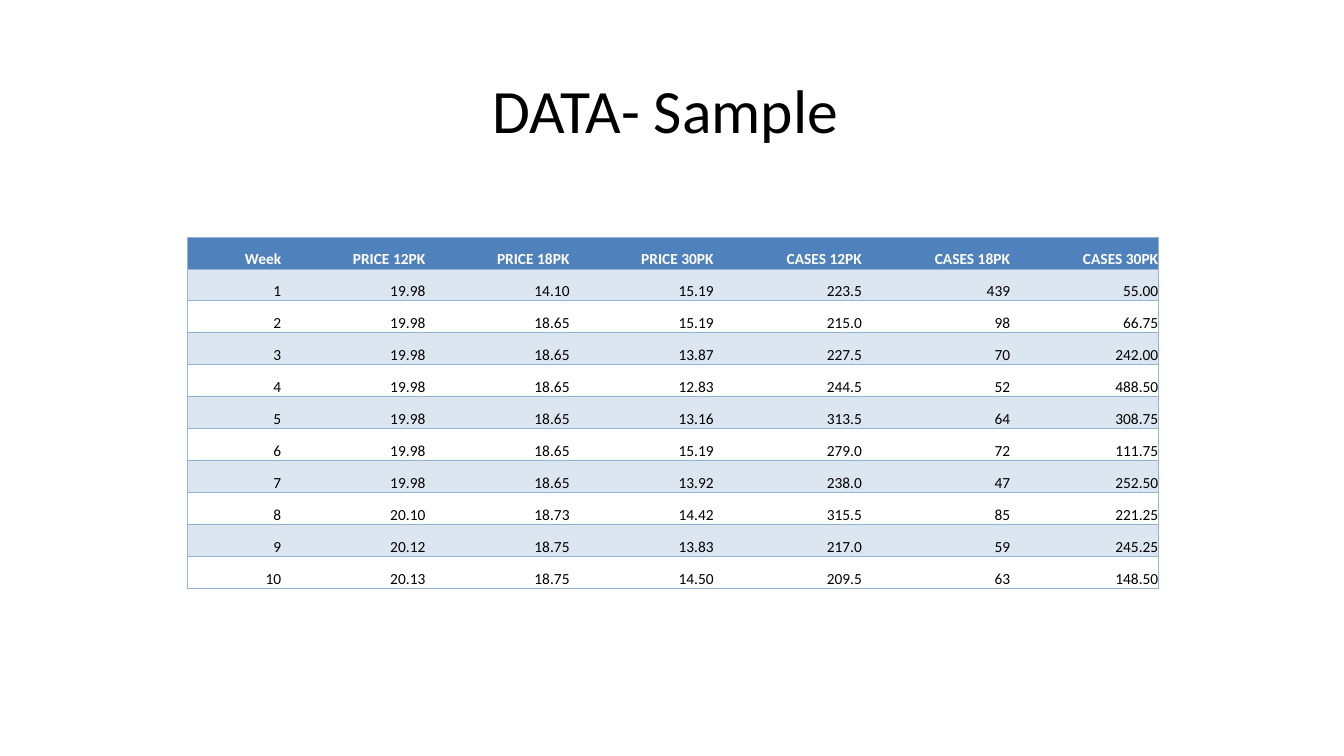
"""Build a slide with a sample of weekly prices and cases."""

import dataclasses

import lxml.etree
import pptx
import pptx.dml.color
import pptx.enum.text
import pptx.oxml.ns
import pptx.presentation
import pptx.slide
import pptx.table
import pptx.text.text
import pptx.util

UNIT = pptx.util.Inches(0.01)
ALIGN = pptx.enum.text.PP_ALIGN
ANCHOR = pptx.enum.text.MSO_ANCHOR
HEX = {"head": "4F81BD", "band": "DCE6F1", "line": "95B3D7", "ink": "000000", "pale": "FFFFFF"}


@dataclasses.dataclass(frozen=True)
class Box:
    left: int
    top: int
    width: int
    height: int

    def scale(self) -> dict[str, int]:
        return {key: val * UNIT for key, val in dataclasses.asdict(self).items()}


@dataclasses.dataclass(frozen=True)
class Column:
    head: str
    span: int
    data: str

    def texts(self) -> list[str]:
        return [self.head, *self.data.split()]


PAGE = Box(0, 0, 1333, 750)
TITLE = Box(92, 40, 1150, 145)
GRID = Box(186, 235, 962, 349)
COLUMNS = [
    Column("Week", 93, "1 2 3 4 5 6 7 8 9 10"),
    Column("PRICE 12PK", 143, "19.98 19.98 19.98 19.98 19.98 19.98 19.98 20.10 20.12 20.13"),
    Column("PRICE 18PK", 143, "14.10 18.65 18.65 18.65 18.65 18.65 18.65 18.73 18.75 18.75"),
    Column("PRICE 30PK", 143, "15.19 15.19 13.87 12.83 13.16 15.19 13.92 14.42 13.83 14.50"),
    Column("CASES 12PK", 147, "223.5 215.0 227.5 244.5 313.5 279.0 238.0 315.5 217.0 209.5"),
    Column("CASES 18PK", 147, "439 98 70 52 64 72 47 85 59 63"),
    Column("CASES 30PK", 147, "55.00 66.75 242.00 488.50 308.75 111.75 252.50 221.25 245.25 148.50"),
]
FLAT = {"first_row": False, "horz_banding": False}
CELL = {
    "margin_left": 0,
    "margin_right": 0,
    "margin_top": 0,
    "margin_bottom": 0,
    "vertical_anchor": ANCHOR.BOTTOM,
}


def apply(item: object, form: dict[str, object]) -> None:
    for key, val in form.items():
        setattr(item, key, val)


def style(para: pptx.text.text._Paragraph, size: int, color: str, bold: bool = False) -> None:
    apply(para.font, {"name": "Calibri", "size": pptx.util.Pt(size), "bold": bold})
    para.font.color.rgb = pptx.dml.color.RGBColor.from_string(HEX[color])


def border(cell: pptx.table._Cell, sides: str) -> None:
    name = pptx.oxml.ns.qn
    props = cell._tc.get_or_add_tcPr()
    for side in "LRTB":
        line = lxml.etree.SubElement(props, name(f"a:ln{side}"), w=str(pptx.util.Pt(0.5)))
        if side in sides:
            fill = lxml.etree.SubElement(line, name("a:solidFill"))
            lxml.etree.SubElement(fill, name("a:srgbClr"), val=HEX["line"])
        else:
            lxml.etree.SubElement(line, name("a:noFill"))


def paint(cell: pptx.table._Cell, row: int) -> None:
    if row and row % 2 == 0:
        cell.fill.background()
        return
    cell.fill.solid()
    color = "band" if row else "head"
    cell.fill.fore_color.rgb = pptx.dml.color.RGBColor.from_string(HEX[color])


def draw_title(slide: pptx.slide.Slide, text: str) -> None:
    title = slide.shapes.title
    apply(title, TITLE.scale())
    frame = title.text_frame
    frame.text = text
    apply(frame, {
        "vertical_anchor": ANCHOR.MIDDLE,
        "word_wrap": True,
        "auto_size": pptx.enum.text.MSO_AUTO_SIZE.NONE,
    })
    para = frame.paragraphs[0]
    apply(para, {"alignment": ALIGN.CENTER, "line_spacing": 0.9})
    style(para, 44, "ink")


def draw_table(slide: pptx.slide.Slide, columns: list[Column]) -> None:
    rows = len(columns[0].texts())
    table = slide.shapes.add_table(rows, len(columns), **GRID.scale()).table
    apply(table, FLAT)
    last = len(columns) - 1
    for col, column in enumerate(columns):
        table.columns[col].width = column.span * UNIT
        sides = "TB" + {0: "L", last: "R"}.get(col, "")
        for row, text in enumerate(column.texts()):
            cell = table.cell(row, col)
            cell.text = text
            apply(cell, CELL)
            border(cell, sides)
            paint(cell, row)
            para = cell.text_frame.paragraphs[0]
            para.alignment = ALIGN.RIGHT
            style(para, 11, "ink" if row else "pale", bold=row == 0)


def main() -> None:
    deck = pptx.Presentation()
    apply(deck, {"slide_width": PAGE.width * UNIT, "slide_height": PAGE.height * UNIT})
    slide = deck.slides.add_slide(deck.slide_layouts.get_by_name("Title Only"))
    draw_title(slide, "DATA- Sample ")
    draw_table(slide, COLUMNS)
    deck.save("out.pptx")


if __name__ == "__main__":
    main()
